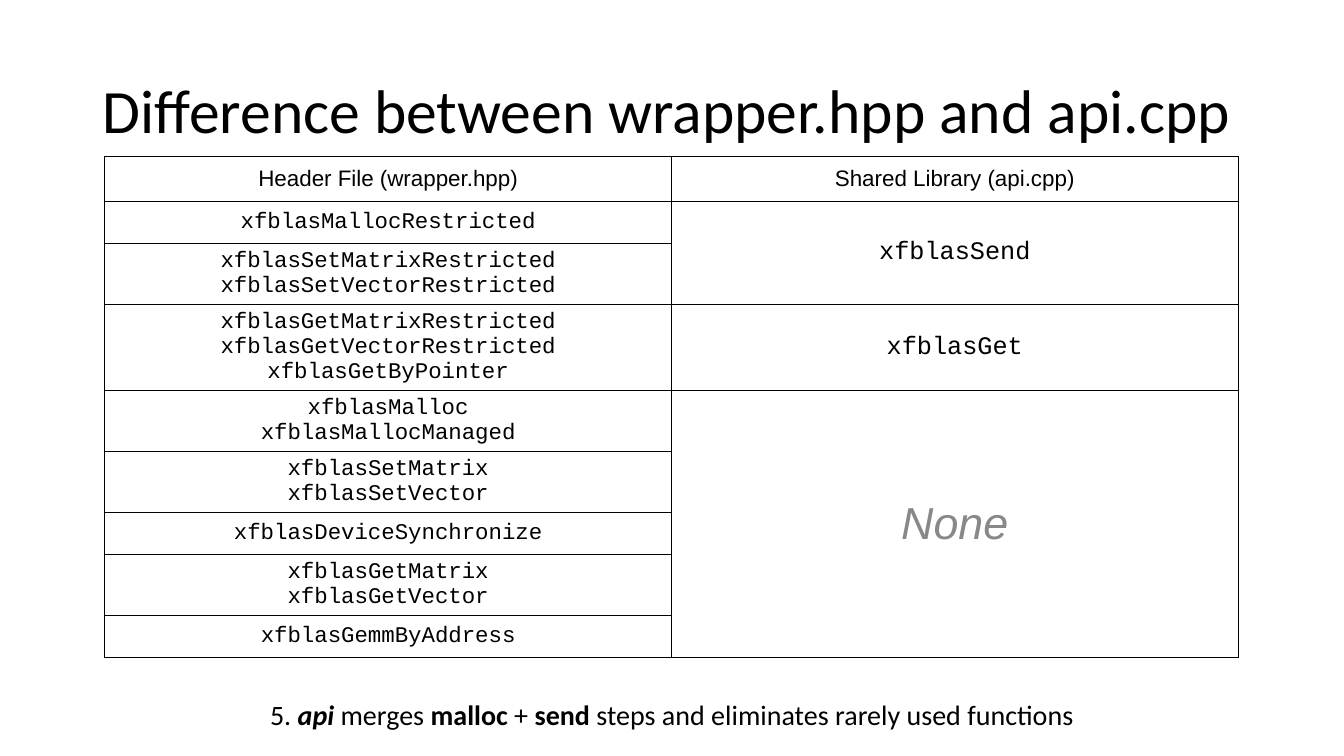
from lxml import etree
from pptx import Presentation
from pptx.dml.color import RGBColor
from pptx.enum.text import MSO_ANCHOR, MSO_AUTO_SIZE, PP_ALIGN
from pptx.oxml.ns import qn
from pptx.util import Inches, Pt

COLORS = {"text": "000000", "muted": "888888", "border": "000000"}
HEADER = {"name": "Arial", "size": Pt(16)}
CODE = {"name": "Courier New", "size": Pt(16)}
CODE_LARGE = {"name": "Courier New", "size": Pt(18)}
NONE = {"name": "Arial", "size": Pt(32), "italic": True}
NOTE = {"name": "Calibri", "size": Pt(20)}


def add_run(p, text, style, color="text"):
    r = p.add_run()
    r.text = text
    for key, value in style.items():
        setattr(r.font, key, value)
    r.font.color.rgb = RGBColor.from_string(COLORS[color])


def fill_cell(cell, lines, style, color="text"):
    """Write one centred paragraph per line."""
    tf = cell.text_frame
    for i, line in enumerate(lines):
        p = tf.add_paragraph() if i else tf.paragraphs[0]
        p.alignment = PP_ALIGN.CENTER
        add_run(p, line, style, color)


prs = Presentation()
prs.slide_width, prs.slide_height = Inches(13.33), Inches(7.5)
s = prs.slides.add_slide(prs.slide_layouts[5])

# Title
title = s.shapes.title
title.left, title.top = Inches(0.92), Inches(0.4)
title.width, title.height = Inches(11.5), Inches(1.45)
tf = title.text_frame
tf.auto_size = MSO_AUTO_SIZE.NONE
tf.vertical_anchor = MSO_ANCHOR.MIDDLE
p = tf.paragraphs[0]
p.alignment = PP_ALIGN.LEFT
p.line_spacing = 0.9
add_run(p, "Difference between wrapper.hpp and api.cpp",
        {"name": "Calibri", "size": Pt(44)})

# Function table
header_functions = [
    ["xfblasMallocRestricted"],
    ["xfblasSetMatrixRestricted", "xfblasSetVectorRestricted"],
    ["xfblasGetMatrixRestricted", "xfblasGetVectorRestricted", "xfblasGetByPointer"],
    ["xfblasMalloc", "xfblasMallocManaged"],
    ["xfblasSetMatrix", "xfblasSetVector"],
    ["xfblasDeviceSynchronize"],
    ["xfblasGetMatrix", "xfblasGetVector"],
    ["xfblasGemmByAddress"],
]
# first row, last row, text, style, colour
library_functions = [
    (1, 2, "xfblasSend", CODE_LARGE, "text"),
    (3, 3, "xfblasGet", CODE_LARGE, "text"),
    (4, 8, "None", NONE, "muted"),
]
rows = len(header_functions) + 1
table = s.shapes.add_table(rows, 2, Inches(1.04), Inches(1.55),
                           Inches(11.24), Inches(0.42 * rows)).table
table.first_row = table.horz_banding = False
for row in table.rows:
    row.height = Inches(0.42)

for cell in table.iter_cells():
    cell.vertical_anchor = MSO_ANCHOR.MIDDLE
    tcPr = cell._tc.get_or_add_tcPr()
    for side in ("lnL", "lnR", "lnT", "lnB"):
        ln = etree.SubElement(tcPr, qn(f"a:{side}"), w=str(Pt(0.75)))
        fill = etree.SubElement(ln, qn("a:solidFill"))
        etree.SubElement(fill, qn("a:srgbClr"), val=COLORS["border"])
    cell.fill.background()

for col, heading in enumerate(["Header File (wrapper.hpp)", "Shared Library (api.cpp)"]):
    cell = table.cell(0, col)
    cell.margin_top = cell.margin_bottom = Inches(0.1)
    fill_cell(cell, [heading], HEADER)
for row, names in enumerate(header_functions, 1):
    fill_cell(table.cell(row, 0), names, CODE)
for first, last, text, style, color in library_functions:
    cell = table.cell(first, 1)
    if last > first:
        cell.merge(table.cell(last, 1))
    fill_cell(cell, [text], style, color)

# Closing note
note = s.shapes.add_textbox(Inches(2.58), Inches(6.82), Inches(8.18), Inches(0.54))
tf = note.text_frame
tf.word_wrap = True
for side in ("left", "right", "top", "bottom"):
    setattr(tf, f"margin_{side}", Inches(0.1))
for text, emphasis in [
    ("5. ", {}),
    ("api", {"bold": True, "italic": True}),
    (" merges ", {}),
    ("malloc", {"bold": True}),
    (" + ", {}),
    ("send", {"bold": True}),
    (" steps and eliminates rarely used functions", {}),
]:
    add_run(tf.paragraphs[0], text, NOTE | emphasis)

prs.save("out.pptx")
